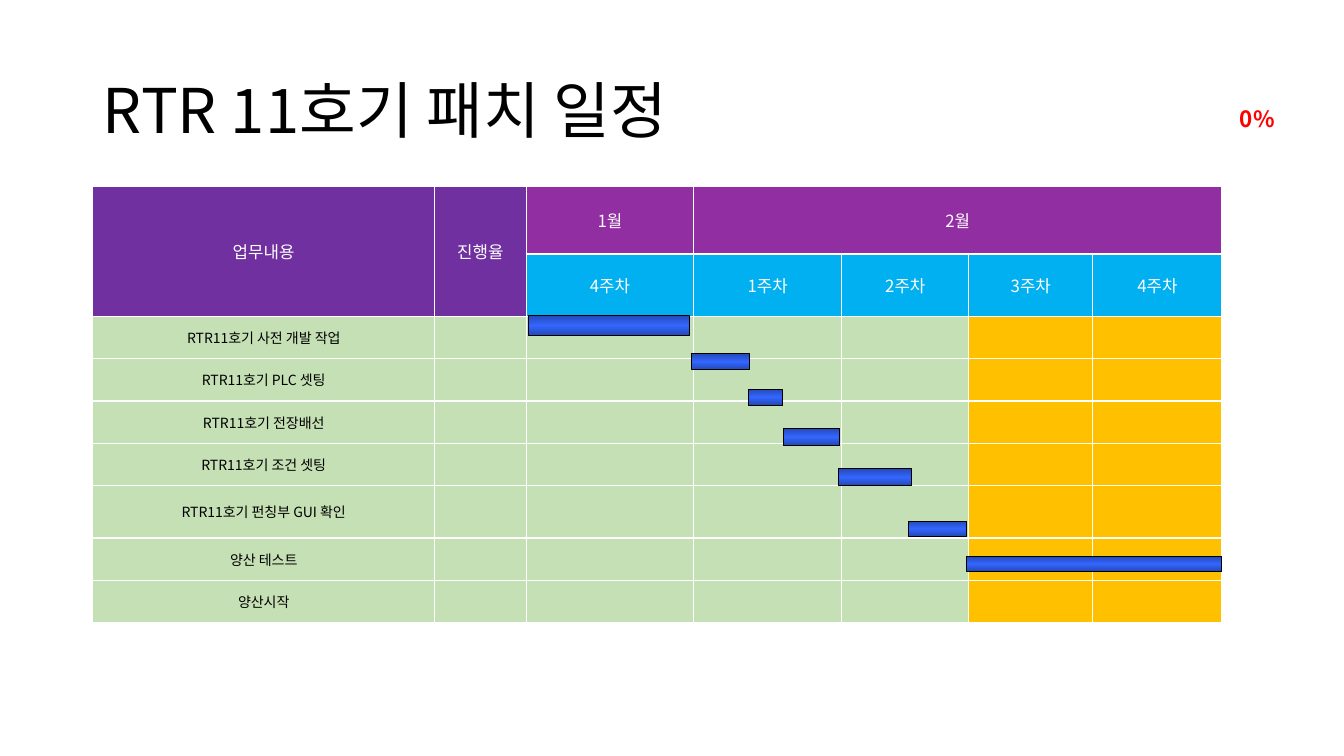
from lxml import etree
from pptx import Presentation
from pptx import util as u
from pptx.dml.color import RGBColor
from pptx.enum import shapes, text
from pptx.oxml import ns

PX = 9144
FONT = "Noto Sans CJK KR"
WHITE, BLACK, RED = "FFFFFF", "000000", "FF0000"
PURPLE, MAGENTA, SKY = "7030A0", "912EA2", "00B0F0"
GREEN, AMBER = "C5E0B4", "FFC000"
BAR_EDGE, BAR_CORE = "2449B6", "3366FF"

COLUMNS = [339, 91, 166, 147, 126, 123, 128]
HEADER_ROWS = [67, 62]
WEEKS = ["4주차", "1주차", "2주차", "3주차", "4주차"]
TASKS = [
    ("RTR11호기 사전 개발 작업", 42),
    ("RTR11호기 PLC 셋팅", 42),
    ("RTR11호기 전장배선", 42),
    ("RTR11호기 조건 셋팅", 42),
    ("RTR11호기 펀칭부 GUI 확인", 52),
    ("양산 테스트", 42),
    ("양산시작", 42),
]
BARS = [
    (432, 128, 160, 20),
    (594, 166, 57, 16),
    (650, 201, 34, 16),
    (685, 240, 56, 17),
    (740, 280, 72, 17),
    (809, 332, 58, 15),
    (867, 367, 253, 15),
]


def px(*lengths):
    return [u.Emu(length * PX) for length in lengths]


def color(hex_value):
    return RGBColor.from_string(hex_value)


def write(frame, wording, size, hex_value, align, bold=False):
    paragraph = frame.paragraphs[0]
    paragraph.text = wording
    paragraph.alignment = align
    font = paragraph.font
    font.size = u.Pt(size)
    font.bold = bold
    font.color.rgb = color(hex_value)
    font.name = FONT
    defaults = paragraph._p.pPr.find(ns.qn("a:defRPr"))
    etree.SubElement(defaults, ns.qn("a:ea"), typeface=FONT)
    return paragraph


def add_heading(slide, left, top, width, height):
    heading = slide.shapes.title
    heading.left, heading.top, heading.width, heading.height = px(left, top, width, height)
    frame = heading.text_frame
    frame.vertical_anchor = text.MSO_ANCHOR.MIDDLE
    paragraph = write(frame, "RTR 11호기 패치 일정", 44, BLACK, text.PP_ALIGN.LEFT)
    paragraph.line_spacing = 0.9


def add_progress(slide, left, top, width, height):
    progress = slide.shapes.add_textbox(*px(left, top, width, height))
    progress.text_frame.word_wrap = True
    write(progress.text_frame, "0%", 16, RED, text.PP_ALIGN.LEFT, bold=True)


def add_borders(cell):
    properties = cell._tc.get_or_add_tcPr()
    for position, side in enumerate(("lnL", "lnR", "lnT", "lnB")):
        border = etree.Element(ns.qn(f"a:{side}"), w=str(u.Pt(1)))
        paint = etree.SubElement(border, ns.qn("a:solidFill"))
        etree.SubElement(paint, ns.qn("a:srgbClr"), val=WHITE)
        properties.insert(position, border)


def fill_cell(cell, wording, fill, size, hex_value):
    cell.fill.solid()
    cell.fill.fore_color.rgb = color(fill)
    cell.vertical_anchor = text.MSO_ANCHOR.MIDDLE
    write(cell.text_frame, wording, size, hex_value, text.PP_ALIGN.CENTER)
    add_borders(cell)


def add_schedule(slide, left, top):
    heights = HEADER_ROWS + [height for _, height in TASKS]
    frame = slide.shapes.add_table(
        len(heights), len(COLUMNS), *px(left, top, sum(COLUMNS), sum(heights)))
    schedule = frame.table
    for column, width in zip(schedule.columns, px(*COLUMNS)):
        column.width = width
    for row, height in zip(schedule.rows, px(*heights)):
        row.height = height

    months = ["1월", "2월", "", "", ""]
    for index, wording in enumerate(["업무내용", "진행율"] + months):
        fill = PURPLE if index < 2 else MAGENTA
        fill_cell(schedule.cell(0, index), wording, fill, 12, WHITE)
    for index, wording in enumerate(["", ""] + WEEKS):
        fill = PURPLE if index < 2 else SKY
        fill_cell(schedule.cell(1, index), wording, fill, 12, WHITE)
    for row, (task, _) in enumerate(TASKS, len(HEADER_ROWS)):
        for index in range(len(COLUMNS)):
            fill = GREEN if index < 5 else AMBER
            wording = task if index == 0 else ""
            fill_cell(schedule.cell(row, index), wording, fill, 10, BLACK)

    for index in range(2):
        schedule.cell(0, index).merge(schedule.cell(1, index))
    schedule.cell(0, 3).merge(schedule.cell(0, 6))


def add_bars(slide, left, top):
    for x, y, width, height in BARS:
        bar = slide.shapes.add_shape(
            shapes.MSO_SHAPE.RECTANGLE, *px(left + x, top + y, width, height))
        bar.shadow.inherit = False
        bar.line.color.rgb = color(BLACK)
        bar.line.width = u.Pt(0.75)
        bar.fill.gradient()
        bar.fill.gradient_angle = 90
        stops = bar._element.spPr.find(".//" + ns.qn("a:gsLst"))
        for stop in list(stops):
            stops.remove(stop)
        for percent, shade in ((0, BAR_EDGE), (50, BAR_CORE), (100, BAR_EDGE)):
            stop = etree.SubElement(stops, ns.qn("a:gs"), pos=str(percent * 1000))
            etree.SubElement(stop, ns.qn("a:srgbClr"), val=shade)


def main():
    deck = Presentation()
    deck.slide_width, deck.slide_height = px(1333, 750)
    slide = deck.slides.add_slide(deck.slide_layouts.get_by_name("Title Only"))
    add_heading(slide, 92, 40, 1150, 145)
    add_schedule(slide, 92, 185)
    add_progress(slide, 1220, 99, 68, 37)
    add_bars(slide, 92, 185)
    deck.save("out.pptx")


if __name__ == "__main__":
    main()
